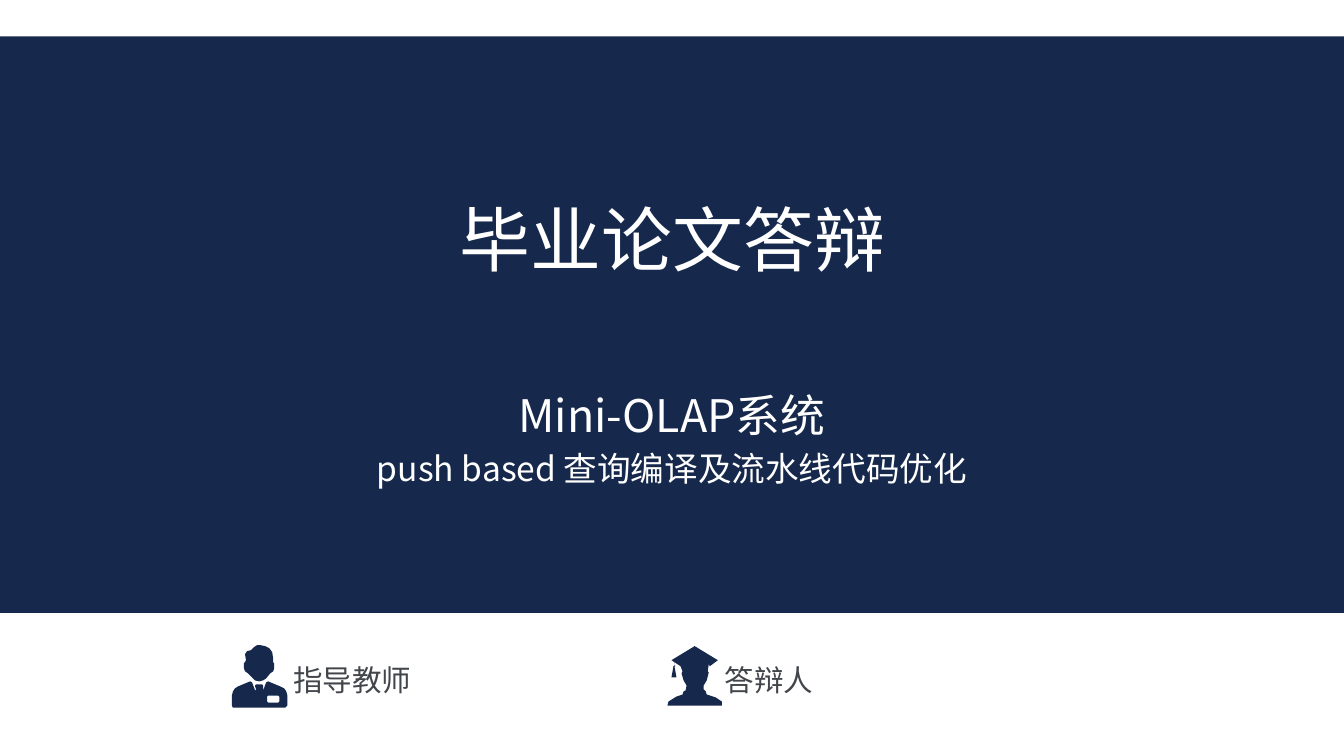
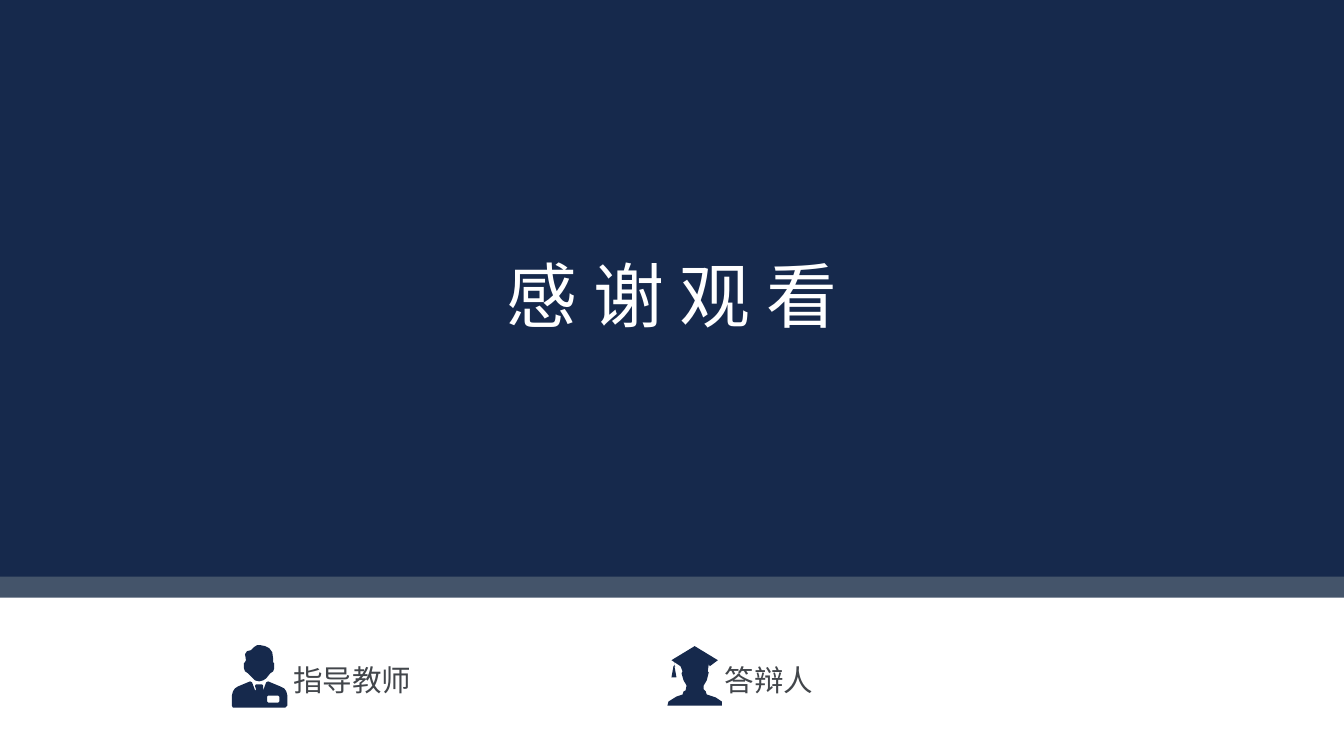
from pptx import Presentation
from pptx import util as u
from pptx.dml.color import RGBColor
from pptx.enum import shapes, text
from pptx.oxml.ns import qn
from lxml import etree

WIDTH, HEIGHT = 13.33, 7.5
FONT = "Noto Sans CJK SC"
NAVY, SLATE, WHITE, GREY = "16294C", "44546A", "FFFFFF", "42464B"
TITLE_SIZE, LABEL_SIZE = 50.6, 21.1
BAND_HEIGHT = 5.72
UNITS_PER_INCH = 100

TEACHER_ICON = [
    [(266, 690), (265, 691), (265, 696), (266, 697), (276, 697), (277, 696),
     (277, 691), (276, 690)],
    [(248, 676), (250, 677), (253, 685), (254, 684), (253, 681), (253, 680),
     (254, 679), (260, 679), (261, 680), (261, 684), (261, 685), (264, 677),
     (266, 676), (278, 681), (282, 683), (284, 686), (285, 690), (285, 700),
     (283, 702), (231, 702), (230, 700), (230, 690), (231, 686), (233, 683),
     (236, 681)],
    [(258, 640), (263, 641), (267, 643), (270, 647), (271, 654), (271, 657),
     (272, 658), (272, 663), (271, 666), (268, 668), (264, 673), (261, 675),
     (257, 676), (253, 675), (251, 673), (246, 668), (243, 666), (242, 663),
     (242, 658), (243, 657), (244, 655), (243, 649), (245, 646), (249, 645),
     (252, 642), (255, 640)],
]
GRADUATE_ICON = [
    [(716, 696), (710, 692), (701, 689), (700, 686), (698, 684), (698, 680),
     (701, 675), (703, 667), (702, 666), (703, 659), (704, 661), (712, 655),
     (689, 641), (666, 655), (669, 657), (669, 660), (668, 661), (666, 672),
     (671, 672), (669, 661), (670, 661), (669, 660), (669, 657), (675, 661),
     (677, 666), (676, 668), (678, 675), (681, 680), (680, 685), (678, 686),
     (677, 689), (671, 691), (663, 696), (662, 700), (716, 700)],
]


def rgb(value):
    """Turn a hex string into a colour."""
    return RGBColor.from_string(value)


def paint(sp, color):
    """Give a shape a plain fill without line or shadow."""
    sp.shadow.inherit = False
    sp.fill.solid()
    sp.fill.fore_color.rgb = rgb(color)
    sp.line.fill.background()


def add_band(slide, top, height, color):
    """Draw a band across the whole slide."""
    sp = slide.shapes.add_shape(
        shapes.MSO_SHAPE.RECTANGLE, 0, u.Inches(top), u.Inches(WIDTH), u.Inches(height))
    paint(sp, color)


def add_icon(slide, contours):
    """Draw an icon from closed contours given in hundredths of an inch."""
    first, *others = contours
    builder = slide.shapes.build_freeform(*first[0], scale=u.Inches(1) / UNITS_PER_INCH)
    builder.add_line_segments(first[1:], close=True)
    for points in others:
        builder.move_to(*points[0])
        builder.add_line_segments(points[1:], close=True)
    paint(builder.convert_to_shape(), NAVY)


def write(sp, lines, color, align):
    """Fill a text shape with (text, size) lines in the shared style."""
    tf = sp.text_frame
    tf.text = "\n".join(line for line, _ in lines)
    tf.word_wrap = True
    tf.auto_size = text.MSO_AUTO_SIZE.SHAPE_TO_FIT_TEXT
    tf.vertical_anchor = text.MSO_ANCHOR.MIDDLE
    tf.margin_left = tf.margin_top = tf.margin_right = tf.margin_bottom = 0
    for p, (_, size) in zip(tf.paragraphs, lines):
        p.alignment = align
        p.line_spacing = 1.16
        p.space_before = u.Pt(0)
        for r in p.runs:
            r.font.size = u.Pt(size)
            r.font.name = FONT
            r.font.color.rgb = rgb(color)
            ea = etree.SubElement(r.font._element, qn("a:ea"))
            ea.set("typeface", FONT)


def fill_placeholder(sp, left, top, width, height, lines):
    """Move a placeholder in front of the bands and write centred white text."""
    sp.element.getparent().append(sp.element)
    sp.left, sp.top = u.Inches(left), u.Inches(top)
    sp.width, sp.height = u.Inches(width), u.Inches(height)
    write(sp, lines, WHITE, text.PP_ALIGN.CENTER)


def add_label(slide, left, width, label):
    """Add a grey footer label."""
    sp = slide.shapes.add_textbox(
        u.Inches(left), u.Inches(6.52), u.Inches(width), u.Inches(0.39))
    write(sp, [(label, LABEL_SIZE)], GREY, text.PP_ALIGN.LEFT)


def add_footer(slide):
    """Add the teacher and candidate icons with their labels."""
    add_icon(slide, TEACHER_ICON)
    add_label(slide, 2.91, 3, "指导教师")
    add_icon(slide, GRADUATE_ICON)
    add_label(slide, 7.19, 4.5, "答辩人")


def add_cover(prs):
    """Build the opening slide."""
    slide = prs.slides.add_slide(prs.slide_layouts[0])
    add_band(slide, 0.36, BAND_HEIGHT, NAVY)
    fill_placeholder(slide.shapes.title, 3.79, 1.83, 5.76, 0.93,
                     [("毕业论文答辩", TITLE_SIZE)])
    fill_placeholder(slide.placeholders[1], 3.44, 3.77, 6.45, 1.06,
                     [("Mini-OLAP系统", 32),
                      ("push based 查询编译及流水线代码优化", 24)])
    add_footer(slide)


def add_closing(prs):
    """Build the closing slide."""
    slide = prs.slides.add_slide(prs.slide_layouts[5])
    add_band(slide, 5.52, 0.41, SLATE)
    add_band(slide, 0, BAND_HEIGHT, NAVY)
    fill_placeholder(slide.shapes.title, 3.73, 2.39, 5.87, 0.93,
                     [("感 谢 观 看", TITLE_SIZE)])
    add_footer(slide)


def main():
    """Build and save the presentation."""
    prs = Presentation()
    prs.slide_width, prs.slide_height = u.Inches(WIDTH), u.Inches(HEIGHT)
    add_cover(prs)
    add_closing(prs)
    prs.save("out.pptx")


if __name__ == "__main__":
    main()
